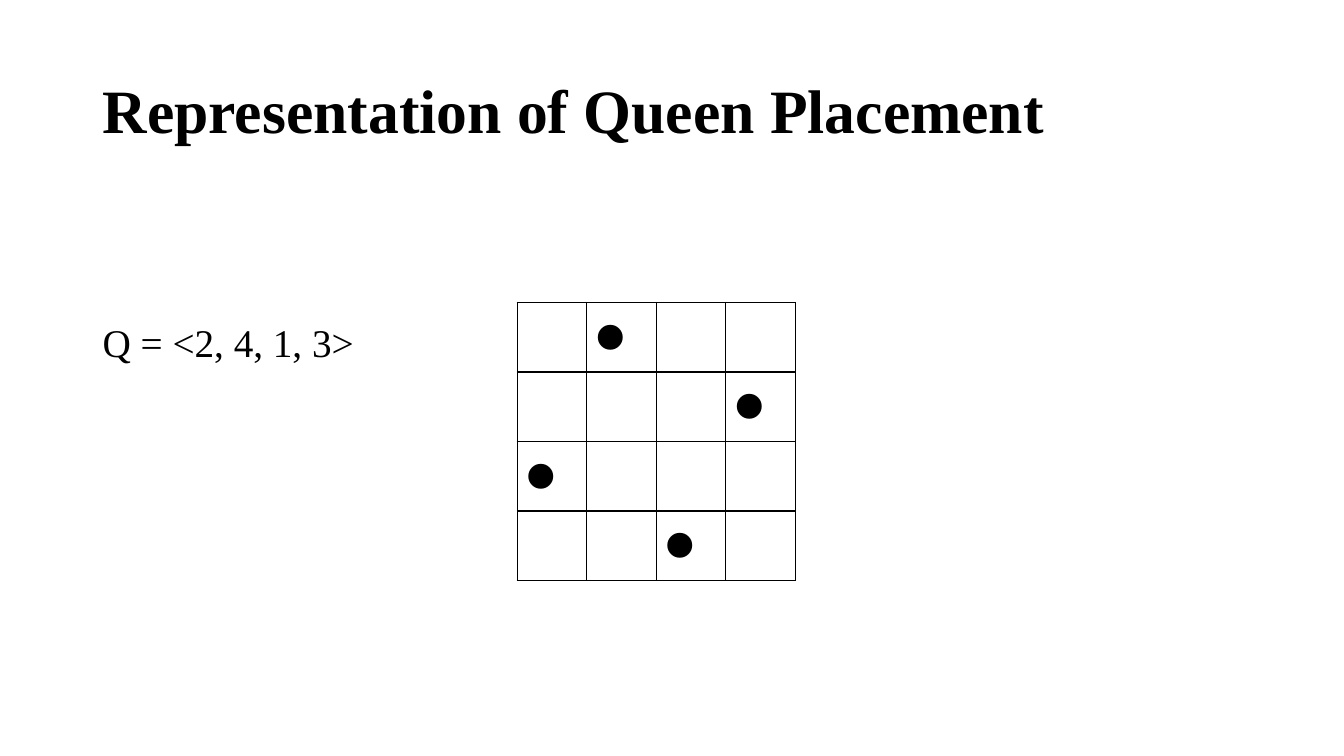
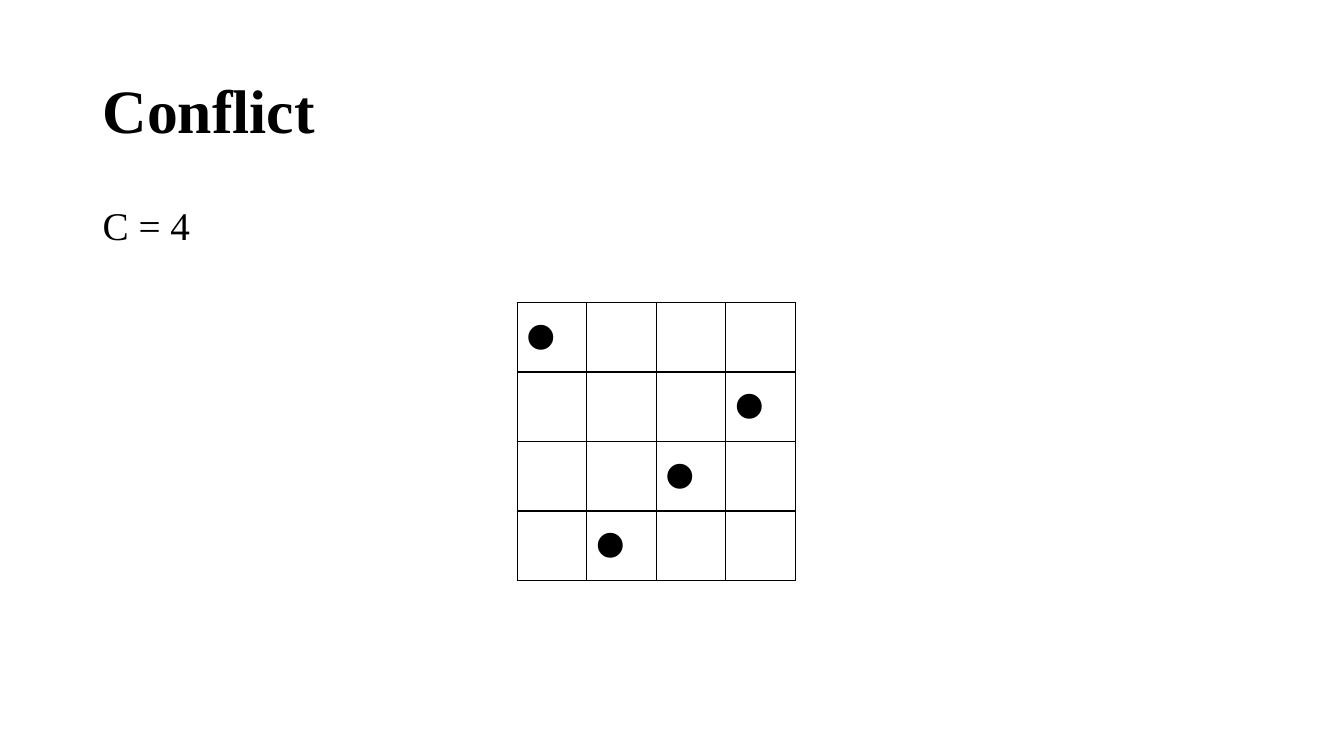
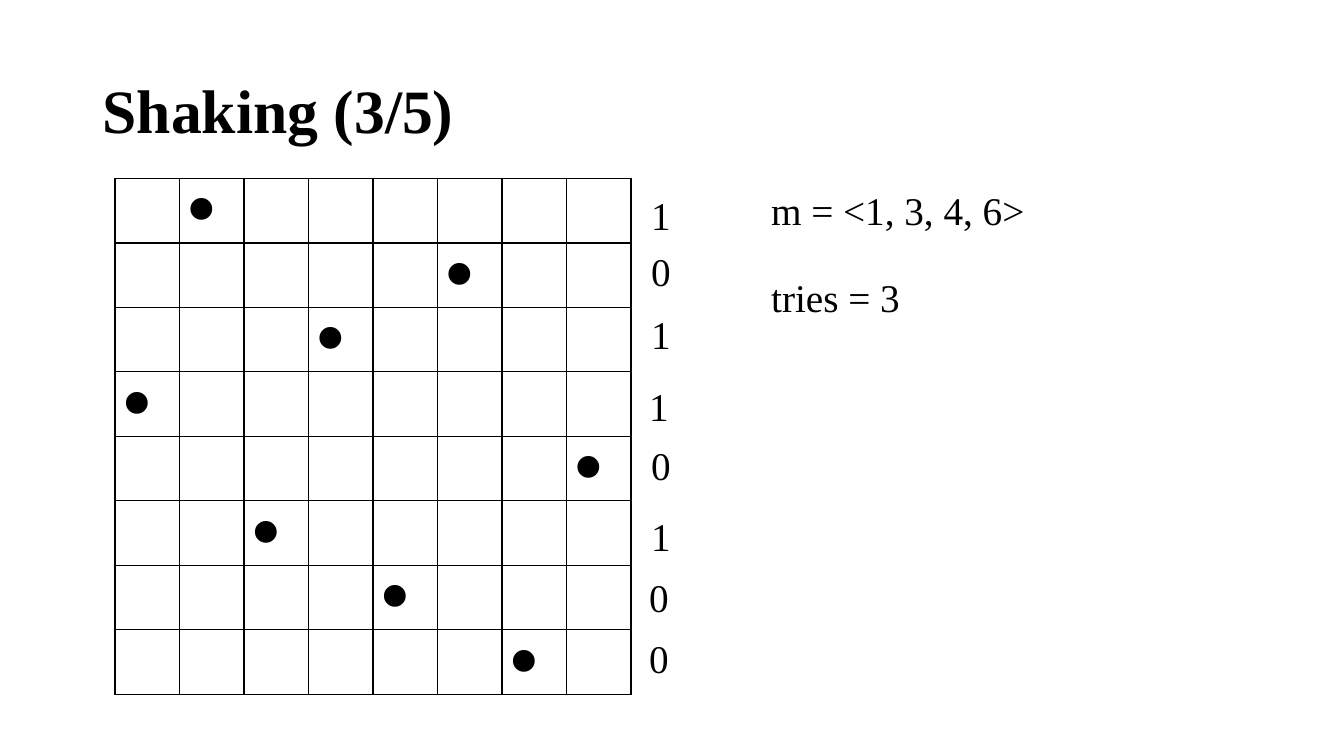
"""Build three slides on placing queens on a chess board."""
import dataclasses

import lxml.etree
import pptx
import pptx.dml.color
import pptx.enum.text
import pptx.oxml.ns
import pptx.presentation
import pptx.slide
import pptx.table
import pptx.text.text
import pptx.util

Inches = pptx.util.Inches
Anchor = pptx.enum.text.MSO_ANCHOR
INK = "000000"
SERIF = "Times New Roman"
SANS = "Calibri"
QUEEN = "⚫"


@dataclasses.dataclass(frozen=True)
class Box:
    left: float
    top: float
    width: float
    height: float


@dataclasses.dataclass(frozen=True)
class Board:
    left: float
    top: float
    side: float
    size: int
    queens: tuple[int, ...]


@dataclasses.dataclass(frozen=True)
class Label:
    text: str
    left: float
    top: float
    width: float = 0.4


TITLE = Box(0.92, 0.4, 11.5, 1.45)
LABELS = (
    Label("1", 6.36, 1.85),
    Label("0", 6.36, 2.4),
    Label("1", 6.36, 3.03),
    Label("1", 6.34, 3.74),
    Label("0", 6.36, 4.33),
    Label("1", 6.36, 5.03),
    Label("0", 6.34, 5.64),
    Label("0", 6.34, 6.24),
    Label("m = <1, 3, 4, 6>", 7.55, 1.8, 2.74),
    Label("tries = 3", 7.55, 2.66, 1.49),
)


def tint(code: str) -> pptx.dml.color.RGBColor:
    return pptx.dml.color.RGBColor.from_string(code)


def write(frame: pptx.text.text.TextFrame, text: str, *, size: int = 28,
          font: str = SERIF, bold: bool = False, color: str = INK,
          spacing: float = 1.0) -> None:
    par = frame.paragraphs[0]
    par.line_spacing = spacing
    run = par.add_run()
    run.text = text
    run.font.size = pptx.util.Pt(size)
    run.font.name = font
    run.font.bold = bold
    run.font.color.rgb = tint(color)


def add_frame(slide: pptx.slide.Slide, box: Box, wrap: bool = True) -> pptx.text.text.TextFrame:
    shape = slide.shapes.add_textbox(Inches(box.left), Inches(box.top),
                                     Inches(box.width), Inches(box.height))
    frame = shape.text_frame
    frame.word_wrap = wrap
    return frame


def add_page(deck: pptx.presentation.Presentation, title: str) -> pptx.slide.Slide:
    slide = deck.slides.add_slide(deck.slide_layouts[6])
    frame = add_frame(slide, TITLE)
    frame.vertical_anchor = Anchor.MIDDLE
    write(frame, title, size=44, bold=True, spacing=0.9)
    return slide


def add_body(slide: pptx.slide.Slide, text: str, top: float) -> None:
    write(add_frame(slide, Box(TITLE.left, top, TITLE.width, 0.6)), text, spacing=0.9)


def add_label(slide: pptx.slide.Slide, label: Label) -> None:
    frame = add_frame(slide, Box(label.left, label.top, label.width, 0.57), wrap=False)
    frame.auto_size = pptx.enum.text.MSO_AUTO_SIZE.SHAPE_TO_FIT_TEXT
    write(frame, label.text)


def edge(cell: pptx.table._Cell, color: str = INK) -> None:
    qn = pptx.oxml.ns.qn
    props = cell._tc.get_or_add_tcPr()
    for place, side in enumerate("LRTB"):
        line = lxml.etree.Element(qn(f"a:ln{side}"), w=str(pptx.util.Pt(1)))
        fill = lxml.etree.SubElement(line, qn("a:solidFill"))
        lxml.etree.SubElement(fill, qn("a:srgbClr"), val=color)
        props.insert(place, line)


def add_board(slide: pptx.slide.Slide, board: Board) -> None:
    count = len(board.queens)
    side = Inches(board.side)
    table = slide.shapes.add_table(count, count, Inches(board.left),
                                   Inches(board.top), side, side).table
    table.first_row = False
    table.horz_banding = False
    for cell in table.iter_cells():
        cell.fill.background()
        edge(cell)
    for row, col in enumerate(board.queens):
        write(table.cell(row, col - 1).text_frame, QUEEN, size=board.size, font=SANS)


def main() -> None:
    deck = pptx.Presentation()
    deck.slide_width = Inches(13.33)
    deck.slide_height = Inches(7.5)

    slide = add_page(deck, "Representation of Queen Placement")
    add_body(slide, "Q = <2, 4, 1, 3>", 3.16)
    add_board(slide, Board(5.13, 3, 2.76, 32, (2, 4, 1, 3)))

    slide = add_page(deck, "Conflict")
    add_body(slide, "C = 4", 2)
    add_board(slide, Board(5.13, 3, 2.76, 32, (1, 4, 3, 2)))

    slide = add_page(deck, "Shaking (3/5)")
    add_board(slide, Board(1.14, 1.77, 5.12, 28, (2, 6, 4, 1, 8, 3, 5, 7)))
    for label in LABELS:
        add_label(slide, label)

    deck.save("out.pptx")


if __name__ == "__main__":
    main()
